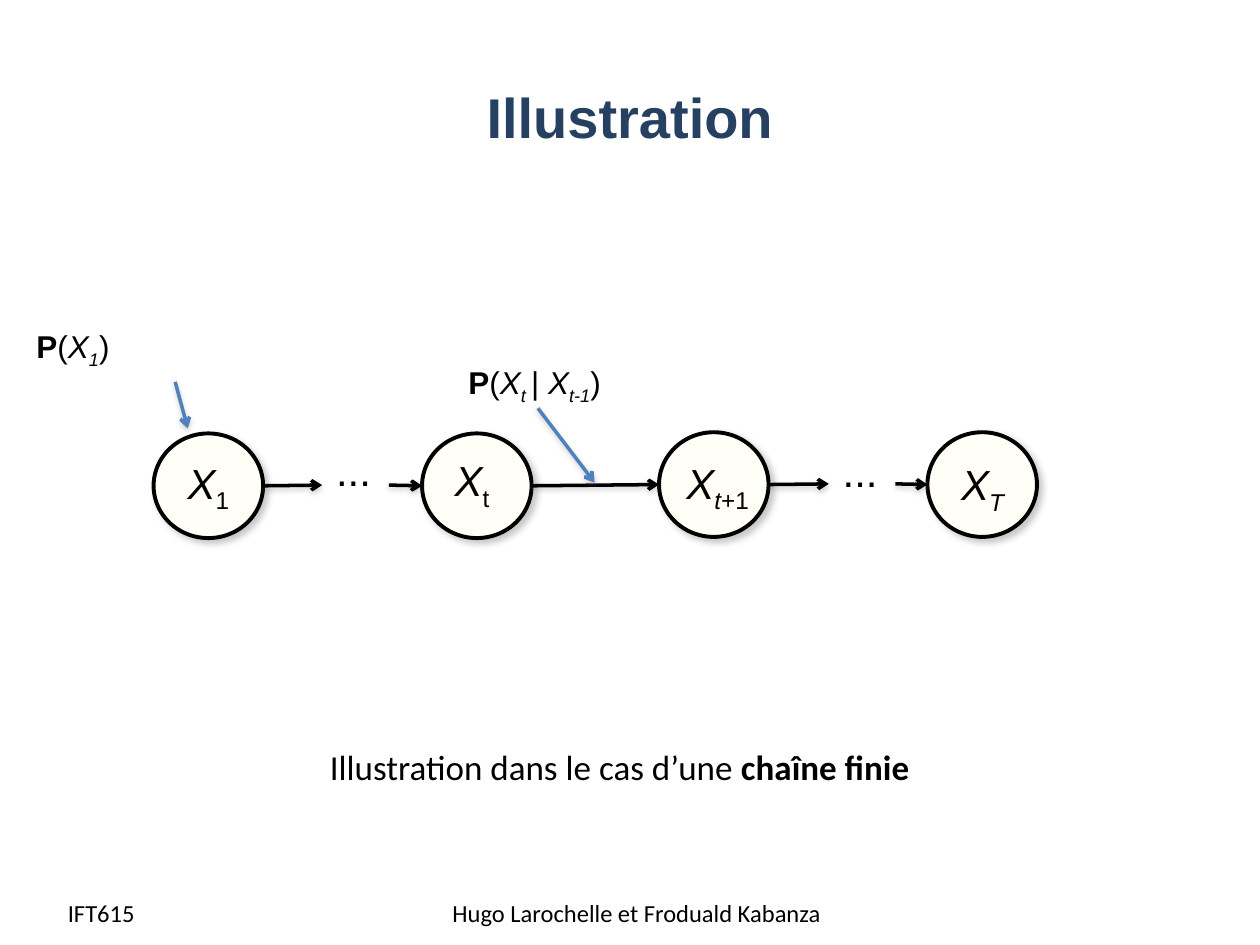
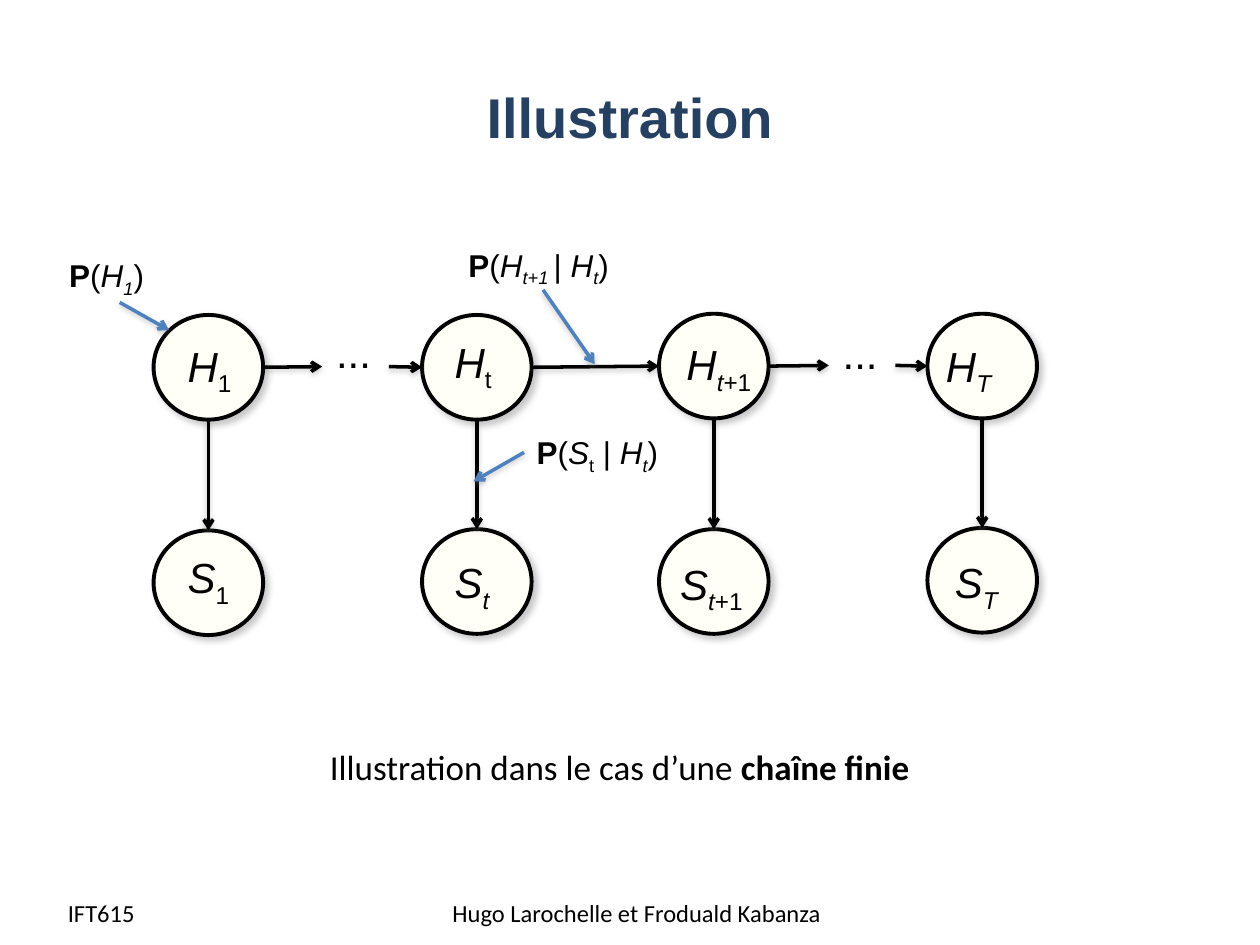
import dataclasses

import pptx
import pptx.dml.color
import pptx.enum.shapes
import pptx.enum.text
import pptx.oxml
import pptx.oxml.ns
import pptx.util
from lxml import etree

Pt = pptx.util.Pt
qn = pptx.oxml.ns.qn
ALIGN = pptx.enum.text.PP_ALIGN
ANCHOR = pptx.enum.text.MSO_ANCHOR
AUTO_SIZE = pptx.enum.text.MSO_AUTO_SIZE

# Connection sites of an ellipse
TOP, LEFT, BOTTOM, RIGHT = 0, 2, 4, 6

NODE_LEFTS = (87.8, 241.2, 376.6, 530)
NODE_WIDTH, NODE_HEIGHT = 62.6, 59.8
LABEL_WIDTHS = (45.4, 45.4, 54.7, 54.7)
LABEL_HEIGHT = 36
LAST_PAIR_RISE = 0.7


@dataclasses.dataclass(frozen=True)
class Shadow:
    alpha: int
    blur: float
    distance: float
    degrees: int


@dataclasses.dataclass(frozen=True)
class Theme:
    heading_font: str = "Arial"
    body_font: str = "Calibri"
    title_colour: str = "254061"
    ink: str = "000000"
    node_fill: str = "FFFFF7"
    pointer: str = "4F81BD"
    shadow_colour: str = "808080"
    title_size: int = 32
    node_size: int = 24
    caption_size: int = 20
    formula_size: int = 18
    footer_size: int = 14
    node_line: float = 2.25
    arrow_line: float = 2
    node_shadow: Shadow = Shadow(43, 4, 3, 45)
    arrow_shadow: Shadow = Shadow(38, 3.1, 1.6, 90)


def apply(target, values):
    for name, value in values.items():
        setattr(target, name, value)


def rgb(colour):
    return pptx.dml.color.RGBColor.from_string(colour)


class Sketch:
    """Holds the theme and the slide being drawn."""

    def __init__(self, deck, theme):
        self.deck = deck
        self.theme = theme
        self.slide = None

    def new_slide(self):
        self.slide = self.deck.slides.add_slide(self.deck.slide_layouts[6])
        theme = self.theme
        self.text((36, 21.6, 648, 90), [("Illustration", "b")], theme.title_size,
                  colour=theme.title_colour, anchor=ANCHOR.MIDDLE, align=ALIGN.CENTER)
        footer = {"size": theme.footer_size, "font": theme.body_font, "anchor": ANCHOR.MIDDLE}
        self.text((31.7, 506.9, 139, 28.8), [("IFT615", "")], **footer)
        self.text((249.8, 506.9, 228.2, 28.8), [("Hugo Larochelle et Froduald Kabanza", "")],
                  align=ALIGN.CENTER, **footer)
        self.text((181.4, 422.6, 356.4, 31.7),
                  [("Illustration dans le cas d’une ", ""), ("chaîne finie", "b")],
                  theme.caption_size, font=theme.body_font, grow=True)

    def text(self, place, spans, size, font=None, colour=None, anchor=ANCHOR.TOP,
             align=ALIGN.LEFT, wrap=True, grow=False):
        """Add one paragraph; each span is (words, marks): b bold, i italic, _ subscript."""
        box = self.slide.shapes.add_textbox(*map(Pt, place))
        apply(box.text_frame, {
            "word_wrap": wrap,
            "vertical_anchor": anchor,
            "auto_size": AUTO_SIZE.SHAPE_TO_FIT_TEXT if grow else AUTO_SIZE.NONE,
        })
        para = box.text_frame.paragraphs[0]
        para.alignment = align
        for words, marks in spans:
            span = para.add_run()
            span.text = words
            apply(span.font, {
                "name": font or self.theme.heading_font,
                "size": Pt(size),
                "bold": "b" in marks,
                "italic": "i" in marks,
            })
            span.font.color.rgb = rgb(colour or self.theme.ink)
            if "_" in marks:
                span._r.get_or_add_rPr().set("baseline", "-25000")

    def formula(self, place, spans):
        self.text(place, spans, self.theme.formula_size, wrap=False, grow=True)

    def label(self, place, spans):
        self.text(place, spans, self.theme.node_size, grow=True)

    def shade(self, effects, shadow):
        outer = etree.SubElement(effects, qn("a:outerShdw"), {
            "blurRad": str(Pt(shadow.blur)),
            "dist": str(Pt(shadow.distance)),
            "dir": str(shadow.degrees * 60000),
            "algn": "ctr",
            "rotWithShape": "0",
        })
        tint = etree.SubElement(outer, qn("a:srgbClr"), val=self.theme.shadow_colour)
        etree.SubElement(tint, qn("a:alpha"), val=str(shadow.alpha * 1000))

    def node(self, left, top):
        node = self.slide.shapes.add_shape(
            pptx.enum.shapes.MSO_SHAPE.OVAL, *map(Pt, (left, top, NODE_WIDTH, NODE_HEIGHT)))
        node.fill.solid()
        node.fill.fore_color.rgb = rgb(self.theme.node_fill)
        node.line.color.rgb = rgb(self.theme.ink)
        node.line.width = Pt(self.theme.node_line)
        node.shadow.inherit = False
        self.shade(node._element.spPr.find(qn("a:effectLst")), self.theme.node_shadow)
        return node

    def arrow(self, start, end, colour=None):
        """Draw from start to end; an end is an (x, y) point or a (node, site) pair."""
        points = [joint(*stop) if is_joint(stop) else stop for stop in (start, end)]
        arrow = self.slide.shapes.add_connector(
            pptx.enum.shapes.MSO_CONNECTOR.STRAIGHT, *map(Pt, points[0] + points[1]))
        arrow.line.color.rgb = rgb(colour or self.theme.ink)
        arrow.line.width = Pt(self.theme.arrow_line)
        properties = arrow._element.spPr
        etree.SubElement(properties.find(qn("a:ln")), qn("a:tailEnd"), type="arrow")
        self.shade(etree.SubElement(properties, qn("a:effectLst")), self.theme.arrow_shadow)
        ties = arrow._element.find(".//" + qn("p:cNvCxnSpPr"))
        for tag, stop in (("a:stCxn", start), ("a:endCxn", end)):
            if is_joint(stop):
                node, site = stop
                etree.SubElement(ties, qn(tag), id=str(node.shape_id), idx=str(site))

    def pointer(self, start, end):
        self.arrow(start, end, self.theme.pointer)

    def row(self, tops):
        return [self.node(left, top) for left, top in zip(NODE_LEFTS, tops)]

    def row_labels(self, letter, subscripts, places):
        for subscript, place, width in zip(subscripts, places, LABEL_WIDTHS):
            self.label((*place, width, LABEL_HEIGHT), [(letter, "i"), *subscript])

    def chain(self, top):
        """Draw the four linked nodes with dots in the first and last gaps."""
        nodes = self.row((top, top, top - LAST_PAIR_RISE, top - LAST_PAIR_RISE))
        for first, dots_left, dots_top in ((0, 185, top + 2.9), (2, 474.5, top + 3.6)):
            before, after = nodes[first:first + 2]
            middle = joint(before, RIGHT)[1]
            self.arrow((before, RIGHT), (dots_left - 0.9, middle - 0.4))
            self.arrow((dots_left + 37.2, middle - 0.4), (after, LEFT))
            self.label((dots_left, dots_top, 38.9, LABEL_HEIGHT), [("...", "")])
        self.arrow((nodes[1], RIGHT), (nodes[2], LEFT))
        return nodes


def is_joint(stop):
    return hasattr(stop[0], "shape_id")


def joint(node, site):
    """Return the point, in points, of a connection site."""
    across, down = {TOP: (0.5, 0), LEFT: (0, 0.5), BOTTOM: (0.5, 1), RIGHT: (1, 0.5)}[site]
    return (node.left + across * node.width) / Pt(1), (node.top + down * node.height) / Pt(1)


ONE = [("1", "_")]
UPRIGHT_T = [("t", "_")]
ITALIC_T = [("t", "i_")]
NEXT_T = [("t", "i_"), ("+1", "_")]
LAST_T = [("T", "i_")]


def prior(letter):
    return [("P", "b"), ("(", ""), (letter, "i"), ("1", "i_"), (")", "")]


def transition(letter, current, given):
    return [("P", "b"), ("(", ""), (letter, "i"), (current + " ", "i_"), ("| ", ""),
            (letter, "i"), (given, "i_"), (")", "")]


def draw_markov_chain(sketch):
    sketch.new_slide()
    sketch.chain(247.7)
    sketch.row_labels("X", (ONE, UPRIGHT_T, NEXT_T, LAST_T),
                      ((100.1, 257.8), (252.7, 256.3), (385.2, 257.8), (542.2, 258.5)))
    sketch.formula((260.6, 203.8, 93.6, 28.8), transition("X", "t", "t-1"))
    sketch.formula((13.7, 183.6, 57.6, 28.8), prior("X"))
    sketch.pointer((100.1, 218.2), (107.3, 244.8))
    sketch.pointer((307.4, 233.3), (339.8, 275.8))


def draw_hidden_markov_model(sketch):
    sketch.new_slide()
    hidden = sketch.chain(180)
    observed = sketch.row((303.1, 302.4, 302.4, 301.7))
    for state, observation in zip(hidden, observed):
        sketch.arrow((state, BOTTOM), (observation, TOP))
    sketch.row_labels("H", (ONE, UPRIGHT_T, NEXT_T, LAST_T),
                      ((100.1, 190.8), (252.7, 188.6), (385.2, 190.1), (533.5, 190.8)))
    sketch.row_labels("S", (ONE, ITALIC_T, NEXT_T, LAST_T),
                      ((100.1, 311.8), (252.7, 314.6), (381.6, 315.4), (538.6, 314.6)))
    sketch.formula((260.6, 136.8, 98.6, 28.8), transition("H", "t+1", "t"))
    sketch.formula((32.4, 142.6, 58.3, 28.8), prior("H"))
    sketch.formula((299.5, 244.1, 85.7, 28.8),
                   [("P", "b"), ("(", ""), ("S", "i"), ("t", "_"), (" | ", ""),
                    ("H", "i"), ("t", "i_"), (")", "")])
    sketch.pointer((68.4, 172.8), (96.5, 188.6))
    sketch.pointer((310.3, 165.6), (339.8, 208.1))
    sketch.pointer((299.5, 258.5), (270.7, 275))


def main():
    deck = pptx.Presentation()
    apply(deck, {"slide_width": Pt(720), "slide_height": Pt(540)})
    sketch = Sketch(deck, Theme())
    draw_markov_chain(sketch)
    draw_hidden_markov_model(sketch)
    deck.save("out.pptx")


if __name__ == "__main__":
    main()
